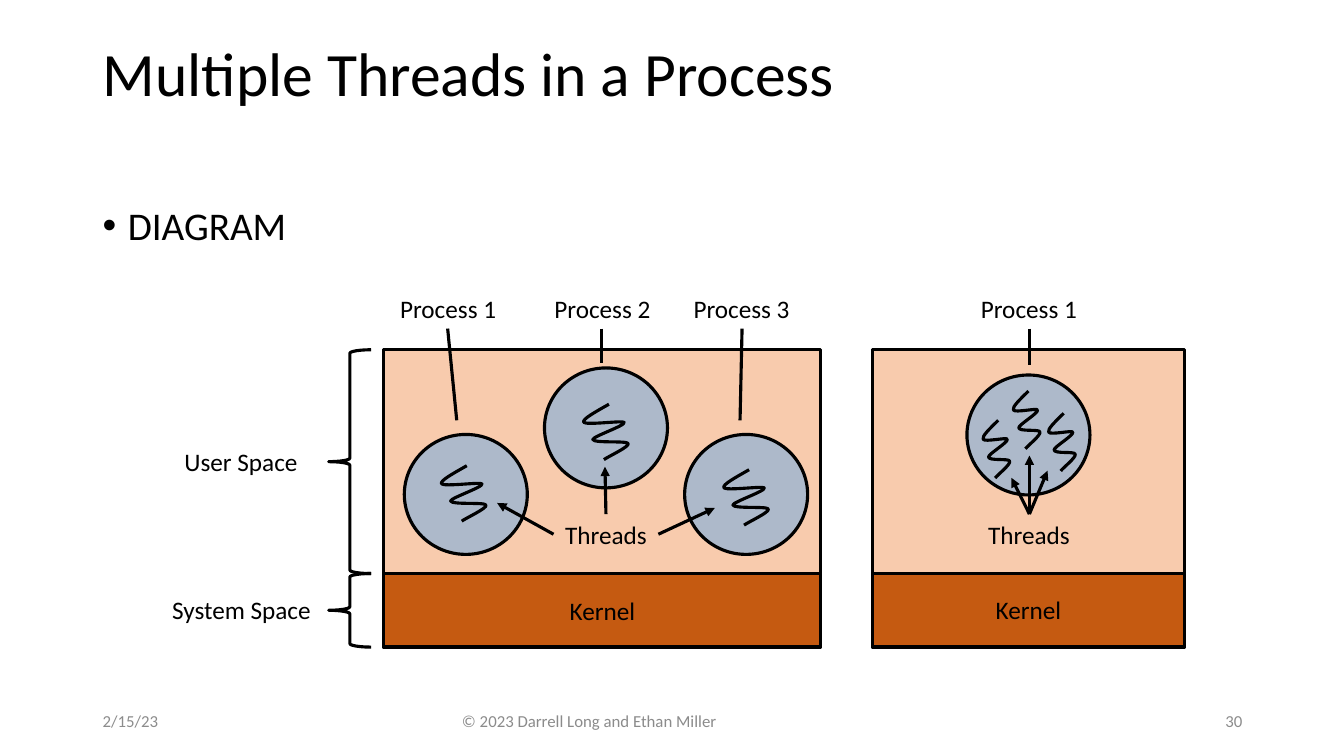
"""Build the slide that shows multiple threads in a process."""
from lxml import etree
from pptx import Presentation
from pptx.dml.color import RGBColor
from pptx.enum import shapes, text
from pptx.oxml.ns import qn
from pptx.util import Inches, Pt

COLORS = {"ink": "000000", "user": "F8CBAD", "kernel": "C55A11",
          "process": "ADB9CA", "footer": "8C8C8C", "credit": "8B8B8B"}
FONT = "Calibri"
LINE_WIDTH = 2.25
LEFT, CENTER, RIGHT = text.PP_ALIGN.LEFT, text.PP_ALIGN.CENTER, text.PP_ALIGN.RIGHT
TOP, MIDDLE = text.MSO_ANCHOR.TOP, text.MSO_ANCHOR.MIDDLE

TITLE = "Multiple Threads in a Process\v"
BULLET = "DIAGRAM"
FOOTERS = [("© 2023 Darrell Long and Ethan Miller", 3.04, 5.61, CENTER, "credit"),
           ("30", 9.42, 3, RIGHT, "footer"),
           ("2/15/23", 0.92, 1.36, LEFT, "footer")]

USER_TOP, KERNEL_TOP, KERNEL_BOTTOM = 3.47, 5.69, 6.42
BANDS = [(USER_TOP, KERNEL_TOP, "user"), (KERNEL_TOP, KERNEL_BOTTOM, "kernel")]
MACHINES = [(3.8, 4.34), (8.65, 3.1)]
BRACE_LEFT, BRACE_WIDTH = 3.26, 0.42

PROCESS_SIZE = (1.22, 1.19)
PROCESSES = [(4.01, 4.31), (5.4, 3.65), (6.79, 4.31), (9.59, 3.72)]
WIDE, NARROW = (1, 1), (0.6, 1.04)
THREADS = [(4.38, 4.62, WIDE), (5.79, 4.01, WIDE), (7.18, 4.66, WIDE),
           (9.75, 4.17, NARROW), (10.05, 3.88, NARROW), (10.4, 4.1, NARROW)]
SQUIGGLE_START = (0.25, 0)
SQUIGGLE_CURVES = [((0.11, 0.08), (-0.02, 0.15), (0, 0.18)),
                   ((0.03, 0.21), (0.39, 0.16), (0.4, 0.18)),
                   ((0.42, 0.21), (0.09, 0.32), (0.09, 0.35)),
                   ((0.1, 0.39), (0.43, 0.36), (0.44, 0.39)),
                   ((0.46, 0.42), (0.24, 0.52), (0.2, 0.55))]

LABELS = [("User Space", 1.67, 4.38, 1.44), ("System Space", 1.58, 5.85, 1.63),
          ("Kernel", 5.28, 5.86, 1.39), ("Threads", 5.49, 5.1, 1.04),
          ("Threads", 9.65, 5.1, 1.11), ("Kernel", 9.47, 5.85, 1.46),
          ("Process 1", 3.81, 2.86, 1.27), ("Process 2", 5.34, 2.86, 1.27),
          ("Process 3", 6.72, 2.86, 1.27), ("Process 1", 9.57, 2.86, 1.27)]
THREAD_ARROWS = [(5.49, 5.3, 4.93, 4.99), (6.01, 5.1, 6, 4.63),
                 (6.53, 5.3, 7.09, 5.04), (10.21, 5.1, 10.03, 4.74),
                 (10.21, 5.1, 10.21, 4.52), (10.21, 5.1, 10.39, 4.67)]
PROCESS_LINES = [(4.44, 3.26, 4.53, 4.17), (7.36, 3.26, 7.34, 4.17),
                 (10.21, 3.26, 10.21, 3.62), (5.97, 3.26, 5.97, 3.6)]


def rgb(name):
    return RGBColor.from_string(COLORS[name])


def style_line(line):
    line.color.rgb = rgb("ink")
    line.width = Pt(LINE_WIDTH)


def style_shape(shape, fill=None):
    shape.shadow.inherit = False
    style_line(shape.line)
    if fill:
        shape.fill.solid()
        shape.fill.fore_color.rgb = rgb(fill)
    else:
        shape.fill.background()


def add_shape(slide, kind, left, top, width, height, fill=None):
    shape = slide.shapes.add_shape(
        kind, Inches(left), Inches(top), Inches(width), Inches(height))
    style_shape(shape, fill)


def add_text(slide, content, left, top, width, height, size,
             align=LEFT, anchor=TOP, color="ink", spacing=None, bullet=False):
    box = slide.shapes.add_textbox(
        Inches(left), Inches(top), Inches(width), Inches(height))
    frame = box.text_frame
    frame.word_wrap = True
    frame.vertical_anchor = anchor
    paragraph = frame.paragraphs[0]
    paragraph.text = content
    paragraph.alignment = align
    if spacing:
        paragraph.line_spacing = spacing
    if bullet:
        properties = paragraph._p.get_or_add_pPr()
        properties.set("marL", str(Inches(0.25)))
        properties.set("indent", str(-Inches(0.25)))
        etree.SubElement(properties, qn("a:buFont"), typeface="Arial")
        etree.SubElement(properties, qn("a:buChar"), char="•")
    paragraph.font.name = FONT
    paragraph.font.size = Pt(size)
    paragraph.font.color.rgb = rgb(color)


def add_line(slide, ends, arrow=False):
    connector = slide.shapes.add_connector(
        shapes.MSO_CONNECTOR.STRAIGHT, *(Inches(end) for end in ends))
    style_line(connector.line)
    if arrow:
        etree.SubElement(connector.line._get_or_add_ln(), qn("a:tailEnd"), type="triangle")
    etree.SubElement(connector._element.spPr, qn("a:effectLst"))


def add_thread(slide, left, top, scale):
    def scaled(point):
        return tuple(Inches(value * factor) for value, factor in zip(point, scale))

    ends = [scaled(curve[-1]) for curve in SQUIGGLE_CURVES]
    builder = slide.shapes.build_freeform(*scaled(SQUIGGLE_START))
    builder.add_line_segments(ends, close=False)
    shape = builder.convert_to_shape(Inches(left), Inches(top))
    style_shape(shape)
    segments = list(shape._element.iter(qn("a:lnTo")))
    for segment, curve in zip(segments, SQUIGGLE_CURVES):
        segment.tag = qn("a:cubicBezTo")
        for position, control in enumerate(curve[:2]):
            x, y = scaled(control)
            point = etree.Element(qn("a:pt"), x=str(x), y=str(y))
            segment.insert(position, point)


def main():
    presentation = Presentation()
    presentation.slide_width = Inches(13.33)
    presentation.slide_height = Inches(7.5)
    slide = presentation.slides.add_slide(presentation.slide_layouts[6])

    add_text(slide, TITLE, 0.92, 0.4, 11.5, 1.45, 44, anchor=MIDDLE, spacing=0.9)
    add_text(slide, BULLET, 0.92, 2, 11.5, 4.76, 28, spacing=0.9, bullet=True)
    for content, left, width, align, color in FOOTERS:
        add_text(slide, content, left, 6.95, width, 0.4, 12, align, MIDDLE, color)

    kinds = shapes.MSO_SHAPE
    for left, width in MACHINES:
        for top, bottom, fill in BANDS:
            add_shape(slide, kinds.RECTANGLE, left, top, width, bottom - top, fill)
    for left, top in PROCESSES:
        add_shape(slide, kinds.OVAL, left, top, *PROCESS_SIZE, "process")
    for thread in THREADS:
        add_thread(slide, *thread)
    for top, bottom, _ in BANDS:
        add_shape(slide, kinds.LEFT_BRACE, BRACE_LEFT, top, BRACE_WIDTH, bottom - top)
    for content, left, top, width in LABELS:
        add_text(slide, content, left, top, width, 0.4, 18, CENTER)
    for ends in THREAD_ARROWS:
        add_line(slide, ends, arrow=True)
    for ends in PROCESS_LINES:
        add_line(slide, ends)

    presentation.save("out.pptx")


if __name__ == "__main__":
    main()
